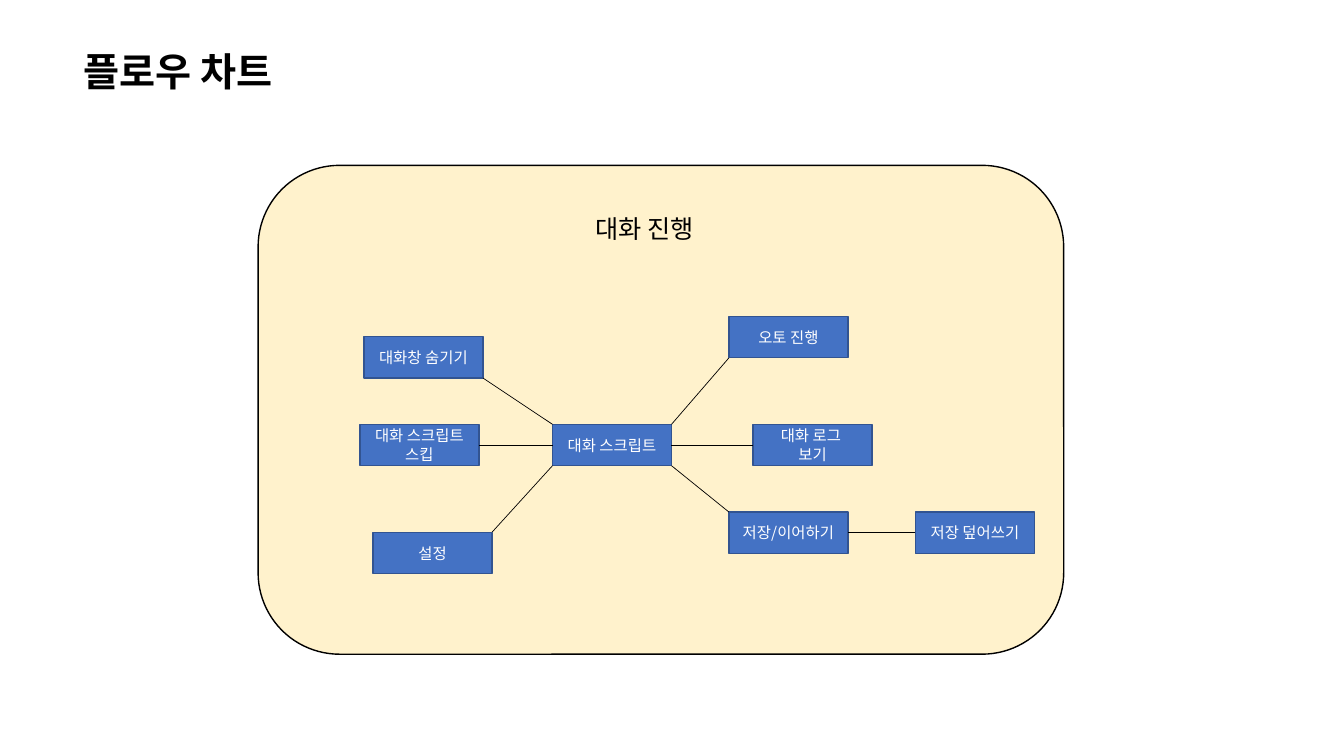
import pptx
import pptx.util
import pptx.dml.color
import pptx.enum.shapes
import pptx.enum.text
import pptx.oxml
import pptx.oxml.ns
from dataclasses import dataclass

Inches, Pt = pptx.util.Inches, pptx.util.Pt
Shape = pptx.enum.shapes.MSO_SHAPE
Align = pptx.enum.text.PP_ALIGN
Anchor = pptx.enum.text.MSO_ANCHOR
TOP, LEFT, BOTTOM, RIGHT = range(4)
BOX_W, BOX_H = 1.18, 0.41


@dataclass(frozen=True)
class Theme:
    ink: str = "000000"
    panel: str = "FFF2CC"
    box: str = "4472C4"
    edge: str = "325491"
    label: str = "FFFFFF"
    head_font: str = "Arial"
    font: str = "Noto Sans CJK KR"
    head_size: int = 28
    sub_size: int = 18
    box_size: int = 11
    line: float = 1
    link: float = 0.5


THEME = Theme()


def rgb(code):
    return pptx.dml.color.RGBColor.from_string(code)


def style(frame, size, color, font=THEME.font, bold=False, align=Align.LEFT):
    for para in frame.paragraphs:
        para.alignment = align
        for run in para.runs:
            run.font.name = font
            run.font.size = Pt(size)
            run.font.bold = bold
            run.font.color.rgb = rgb(color)
            # Hangul takes its face from the East Asian font
            east = pptx.oxml.parse_xml(
                f'<a:ea {pptx.oxml.ns.nsdecls("a")} typeface="{THEME.font}"/>')
            run.font._element.find(pptx.oxml.ns.qn("a:latin")).addnext(east)


def place(shape, x, y, w, h):
    shape.left, shape.top = Inches(x), Inches(y)
    shape.width, shape.height = Inches(w), Inches(h)


def add_title(slide, text):
    title = slide.shapes.title
    place(title, 0.73, 0.42, 2.47, 0.57)
    frame = title.text_frame
    frame.text = text
    frame.auto_size = pptx.enum.text.MSO_AUTO_SIZE.NONE
    frame.vertical_anchor = Anchor.MIDDLE
    style(frame, THEME.head_size, THEME.ink, THEME.head_font, bold=True)


def add_block(slide, kind, x, y, w, h, fill, edge):
    block = slide.shapes.add_shape(
        kind, Inches(x), Inches(y), Inches(w), Inches(h))
    block.shadow.inherit = False
    block.fill.solid()
    block.fill.fore_color.rgb = rgb(fill)
    block.line.color.rgb = rgb(edge)
    block.line.width = Pt(THEME.line)
    return block


def add_box(slide, text, x, y):
    box = add_block(slide, Shape.RECTANGLE, x, y, BOX_W, BOX_H,
                    THEME.box, THEME.edge)
    frame = box.text_frame
    frame.text = text
    frame.word_wrap = True
    frame.vertical_anchor = Anchor.MIDDLE
    style(frame, THEME.box_size, THEME.label, align=Align.CENTER)
    return box


def add_label(slide, text, x, y, w, h):
    label = slide.shapes.add_textbox(
        Inches(x), Inches(y), Inches(w), Inches(h))
    label.text_frame.text = text
    label.text_frame.word_wrap = True
    style(label.text_frame, THEME.sub_size, THEME.ink)


def add_line(slide, start=(0, 0), end=(0, 0)):
    line = slide.shapes.add_connector(
        pptx.enum.shapes.MSO_CONNECTOR.STRAIGHT, *start, *end)
    line.line.color.rgb = rgb(THEME.ink)
    line.line.width = Pt(THEME.link)
    line._element.spPr.append(pptx.oxml.parse_xml(
        f'<a:effectLst {pptx.oxml.ns.nsdecls("a")}/>'))
    return line


def join(slide, first, side, last, end):
    """Link the middles of two box sides."""
    line = add_line(slide)
    line.begin_connect(first, side)
    line.end_connect(last, end)


def corner(box, across, down):
    return (box.left + box.width * (across == RIGHT),
            box.top + box.height * (down == BOTTOM))


def main():
    deck = pptx.Presentation()
    deck.slide_width, deck.slide_height = Inches(13.33), Inches(7.5)
    slide = deck.slides.add_slide(deck.slide_layouts[5])
    add_title(slide, "플로우 차트")
    add_block(slide, Shape.ROUNDED_RECTANGLE, 2.56, 1.64, 7.99, 4.85,
              THEME.panel, THEME.ink)
    add_label(slide, "대화 진행", 5.81, 2.07, 1.49, 0.4)

    hub = add_box(slide, "대화 스크립트", 5.48, 4.21)
    skip = add_box(slide, "대화 스크립트 스킵", 3.57, 4.21)
    log = add_box(slide, "대화 로그 \n보기", 7.47, 4.21)
    hide = add_box(slide, "대화창 숨기기", 3.61, 3.34)
    setup = add_box(slide, "설정", 3.7, 5.28)
    auto = add_box(slide, "오토 진행", 7.23, 3.14)
    save = add_box(slide, "저장/이어하기", 7.23, 5.08)
    write = add_box(slide, "저장 덮어쓰기", 9.08, 5.08)

    join(slide, skip, RIGHT, hub, LEFT)
    join(slide, log, LEFT, hub, RIGHT)
    join(slide, write, LEFT, save, RIGHT)
    for box, across, down in ((hide, LEFT, TOP), (setup, LEFT, BOTTOM),
                              (auto, RIGHT, TOP), (save, RIGHT, BOTTOM)):
        # the facing corner of the outer box is opposite on both axes
        facing = corner(box, LEFT + RIGHT - across, TOP + BOTTOM - down)
        add_line(slide, facing, corner(hub, across, down))

    deck.save("out.pptx")


if __name__ == "__main__":
    main()
